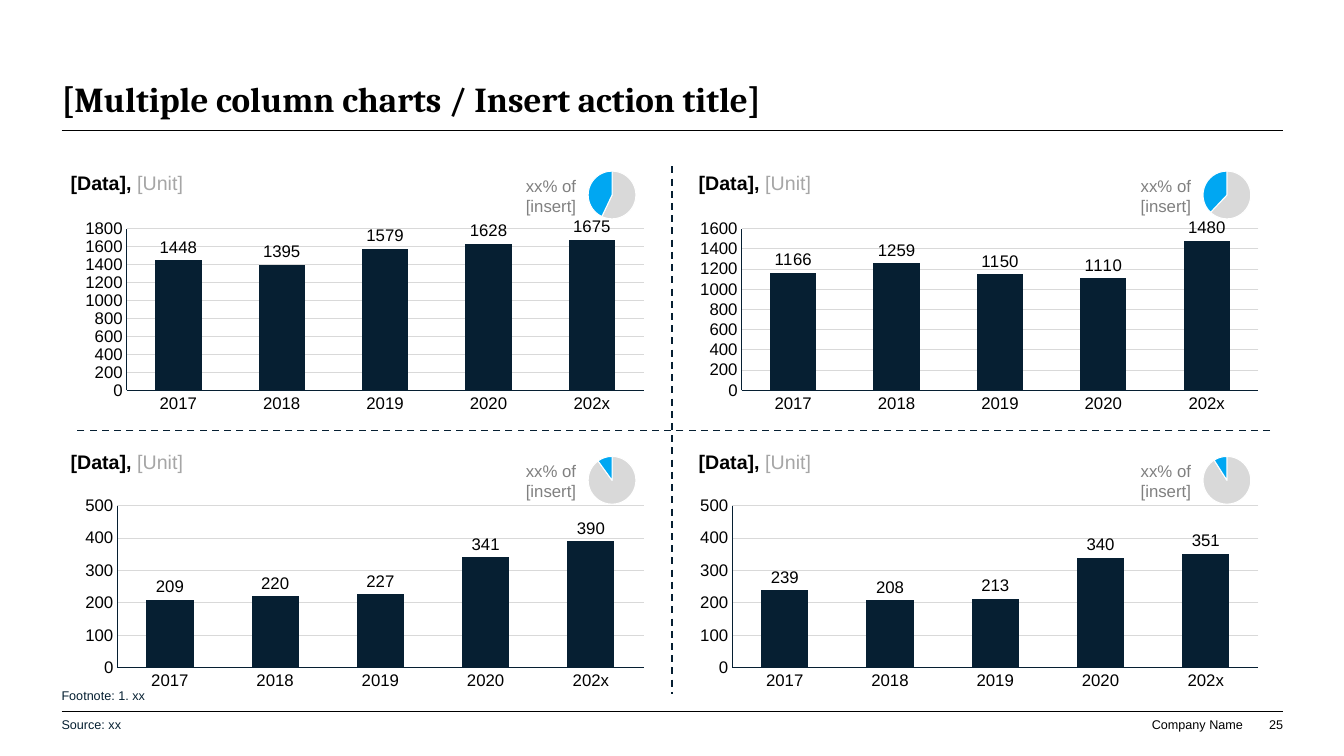
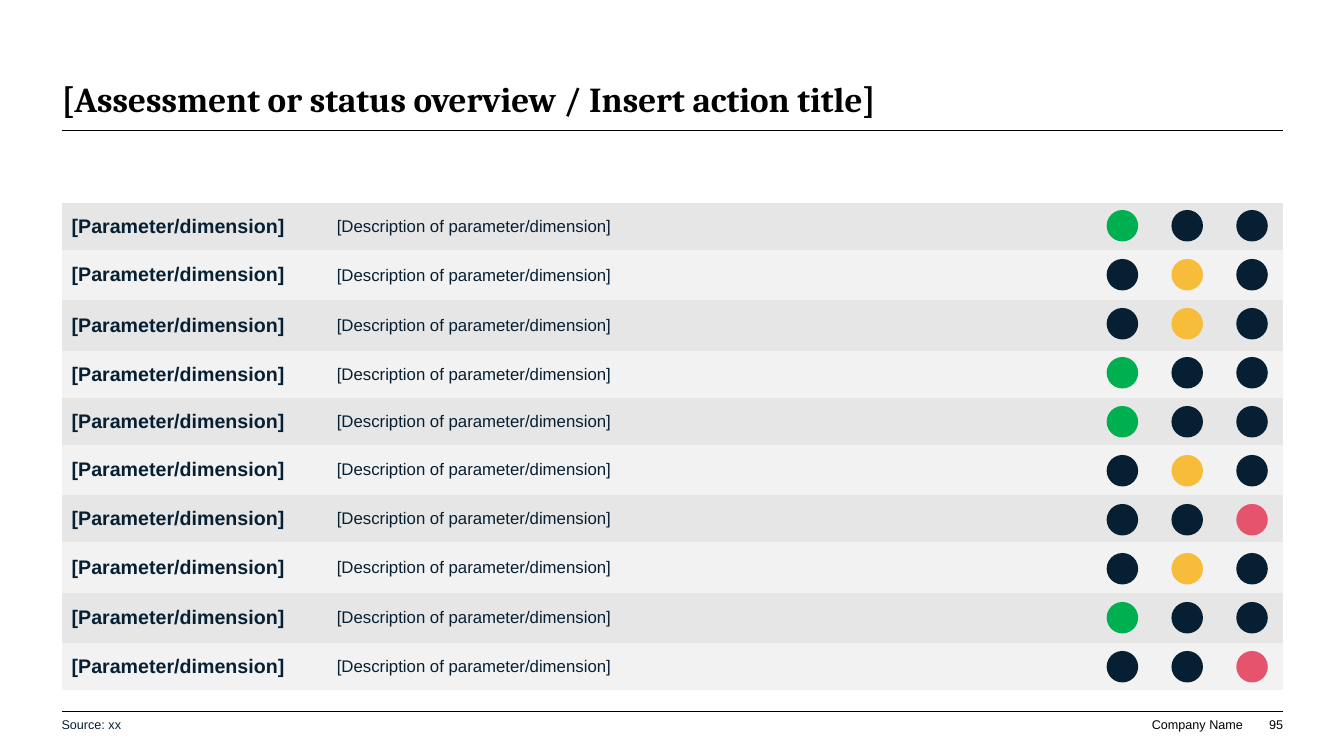
from lxml import etree
from pptx import Presentation
from pptx.chart.data import CategoryChartData
from pptx.dml.color import RGBColor
from pptx.enum.chart import XL_CHART_TYPE, XL_LABEL_POSITION, XL_TICK_MARK
from pptx.enum.dml import MSO_LINE
from pptx.enum.shapes import MSO_CONNECTOR, MSO_SHAPE
from pptx.enum.text import MSO_ANCHOR, PP_ALIGN
from pptx.oxml.ns import qn
from pptx.util import Pt

COLUMN, PIE = XL_CHART_TYPE.COLUMN_CLUSTERED, XL_CHART_TYPE.PIE
OUTSIDE_END, NO_TICK = XL_LABEL_POSITION.OUTSIDE_END, XL_TICK_MARK.NONE
DASH, STRAIGHT, OVAL = MSO_LINE.DASH, MSO_CONNECTOR.STRAIGHT, MSO_SHAPE.OVAL
MIDDLE, BOTTOM, TOP = MSO_ANCHOR.MIDDLE, MSO_ANCHOR.BOTTOM, MSO_ANCHOR.TOP
LEFT, RIGHT = PP_ALIGN.LEFT, PP_ALIGN.RIGHT

COLORS = {
    "black": "000000", "white": "FFFFFF", "navy": "061F32", "note": "062032",
    "unit": "A6A6A6", "share": "808080", "grid": "D9D9D9", "blue": "00A7F2",
    "green": "00B050", "amber": "F8BC3B", "red": "E5546C",
    "dark_band": "E6E6E6", "light_band": "F2F2F2",
}
PLAIN_TABLE = "{2D5ABB26-0587-4C30-8999-92F81FD0307C}"
MARGIN, EDGE = 44, 916.5
YEARS = ["2017", "2018", "2019", "2020", "202x"]


def rgb(name):
    return RGBColor.from_string(COLORS[name])


class Deck:
    """Slide style together with the slide being filled."""

    def __init__(self):
        self.prs = Presentation()
        self.prs.slide_width, self.prs.slide_height = Pt(960), Pt(540)
        self.slide = None

    def new_slide(self, title, number):
        self.slide = self.prs.slides.add_slide(self.prs.slide_layouts[6])
        width = EDGE - MARGIN
        self.text(title, (MARGIN, 28, width, 57.6), 25, font="Cambria",
                  bold=True, anchor=BOTTOM)
        for y in (93, 508.3):
            self.line((MARGIN, y), (EDGE, y), "black", 0.5)
        self.text("Company Name", (790, 512, 97.8, 10.8), 9, anchor=BOTTOM, align=RIGHT)
        self.text(str(number), (890.5, 512, 26, 10.8), 9, anchor=BOTTOM, align=RIGHT)
        self.note("Source: xx", 503.3)

    def style(self, font, size, color="black", bold=False, name="Arial"):
        font.name, font.size, font.bold = name, Pt(size), bold
        font.color.rgb = rgb(color)

    def text(self, words, box, size, color="black", font="Arial", bold=False,
             anchor=TOP, align=LEFT):
        frame = self.slide.shapes.add_textbox(*map(Pt, box)).text_frame
        frame.word_wrap, frame.vertical_anchor = True, anchor
        frame.margin_left = frame.margin_right = 0
        frame.margin_top = frame.margin_bottom = 0
        frame.text = words
        paragraph = frame.paragraphs[0]
        paragraph.alignment = align
        self.style(paragraph.runs[0].font, size, color, bold, font)
        return paragraph

    def note(self, words, top):
        self.text(words, (MARGIN, top, 560, 28.8), 9, "note", anchor=MIDDLE)

    def heading(self, left, top):
        paragraph = self.text("[Data], ", (left, top, 240, 17), 14, bold=True)
        unit = paragraph.add_run()
        unit.text = "[Unit]"
        self.style(unit.font, 14, "unit")

    def line(self, start, end, color, weight, dash=None):
        rule = self.slide.shapes.add_connector(STRAIGHT, *map(Pt, start + end))
        rule.line.color.rgb, rule.line.width = rgb(color), Pt(weight)
        rule.line.dash_style = dash
        etree.SubElement(rule._element.spPr, qn("a:effectLst"))

    def chart(self, kind, categories, values, box):
        data = CategoryChartData()
        data.categories = categories
        data.add_series("Series 1", values)
        chart = self.slide.shapes.add_chart(kind, *map(Pt, box), data).chart
        chart.has_legend = chart.has_title = False
        self.style(chart.font, 12)
        return chart

    def columns(self, values, box, maximum, step):
        chart = self.chart(COLUMN, YEARS, values, box)
        for axis in (chart.category_axis, chart.value_axis):
            axis.major_tick_mark = axis.minor_tick_mark = NO_TICK
            axis.format.line.color.rgb = rgb("navy")
            axis.format.line.width = Pt(0.75)
            self.style(axis.tick_labels.font, 12)
        scale = chart.value_axis
        scale.minimum_scale, scale.maximum_scale, scale.major_unit = 0, maximum, step
        scale.tick_labels.number_format = "0"
        scale.tick_labels.number_format_is_linked = False
        scale.major_gridlines.format.line.color.rgb = rgb("grid")
        scale.major_gridlines.format.line.width = Pt(0.75)
        plot = chart.plots[0]
        plot.gap_width, plot.overlap, plot.vary_by_categories = 123, -27, False
        fill = plot.series[0].format.fill
        fill.solid()
        fill.fore_color.rgb = rgb("navy")
        plot.has_data_labels = True
        labels = plot.data_labels
        labels.show_value, labels.position = True, OUTSIDE_END
        self.style(labels.font, 12)

    def share_pie(self, share, left, top):
        chart = self.chart(PIE, ["1", "2"], [100 - share, share], (left, top, 61.2, 54))
        chart.plots[0].vary_by_categories = False
        for index, color in enumerate(("grid", "blue")):
            slice_format = chart.plots[0].series[0].points[index].format
            slice_format.fill.solid()
            slice_format.fill.fore_color.rgb = rgb(color)
            slice_format.line.color.rgb = rgb("white")
            slice_format.line.width = Pt(0.75)

    def table(self, rows, box, widths, heights):
        frame = self.slide.shapes.add_table(len(rows), len(widths), *map(Pt, box))
        table = frame.table
        table.first_row = table.horz_banding = False
        table._tbl.tblPr.find(qn("a:tableStyleId")).text = PLAIN_TABLE
        for column, width in zip(table.columns, widths):
            column.width = Pt(width)
        for r, (row, height) in enumerate(zip(rows, heights)):
            table.rows[r].height = Pt(height)
            for c, words in enumerate(row):
                cell = table.cell(r, c)
                cell.fill.solid()
                cell.fill.fore_color.rgb = rgb("light_band" if r % 2 else "dark_band")
                cell.vertical_anchor = MIDDLE
                if words:
                    cell.text_frame.text = words
                    run = cell.text_frame.paragraphs[0].runs[0]
                    self.style(run.font, 12 if c else 14, "navy", bold=c == 0)

    def dot(self, left, top, color):
        dot = self.slide.shapes.add_shape(OVAL, Pt(left), Pt(top), Pt(22.5), Pt(22.5))
        dot.shadow.inherit = False
        dot.fill.solid()
        dot.fill.fore_color.rgb = rgb(color)
        dot.line.fill.background()


def column_charts(deck):
    deck.new_slide("[Multiple column charts / Insert action title]", 25)
    deck.line((480, 118.8), (480, 495.4), "navy", 1.25, DASH)
    deck.line((907.2, 307.5), (52.6, 307.5), "navy", 1.25, DASH)
    panel_columns = [(50.4, 52.6), (499, 491.8)]
    panel_rows = [(122.4, 154.1, 112.3), (321.1, 352.1, 316.1)]
    panels = [
        [([1448, 1395, 1579, 1628, 1675], 1800, 200, 43),
         ([1166, 1259, 1150, 1110, 1480], 1600, 200, 38)],
        [([209, 220, 227, 341, 390], 500, 100, 10),
         ([239, 208, 213, 340, 351], 500, 100, 9)],
    ]
    for (heading_top, chart_top, pie_top), row in zip(panel_rows, panels):
        for (heading_left, left), (values, maximum, step, share) in zip(panel_columns, row):
            deck.columns(values, (left, chart_top, 415.4, 143.3), maximum, step)
            deck.heading(heading_left, heading_top)
            deck.share_pie(share, left + 354, pie_top)
            deck.text("xx% of [insert]", (left + 301, pie_top + 9.4, 58, 36), 12,
                      "share", anchor=MIDDLE, align=RIGHT)
    deck.note("Footnote: 1. xx", 482.4)


def status_overview(deck):
    deck.new_slide("[Assessment or status overview / Insert action title]", 95)
    ratings = ["green", "amber", "amber", "green", "green",
               "amber", "red", "amber", "green", "red"]
    tall_rows = {1, 2, 5, 7, 8}
    rows = [("[Parameter/dimension]", "[Description of parameter/dimension]", "")] * len(ratings)
    heights = [36.1 if r in tall_rows else 33.5 for r in range(len(ratings))]
    deck.table(rows, (MARGIN, 145, EDGE - MARGIN, sum(heights)),
               (189.4, 549.3, 133.8), heights)
    for r, rating in enumerate(ratings):
        for c, level in enumerate(("green", "amber", "red")):
            deck.dot(790.5 + 46.3 * c, 150 + 35 * r, level if level == rating else "navy")


def main():
    deck = Deck()
    column_charts(deck)
    status_overview(deck)
    deck.prs.save("out.pptx")


if __name__ == "__main__":
    main()
